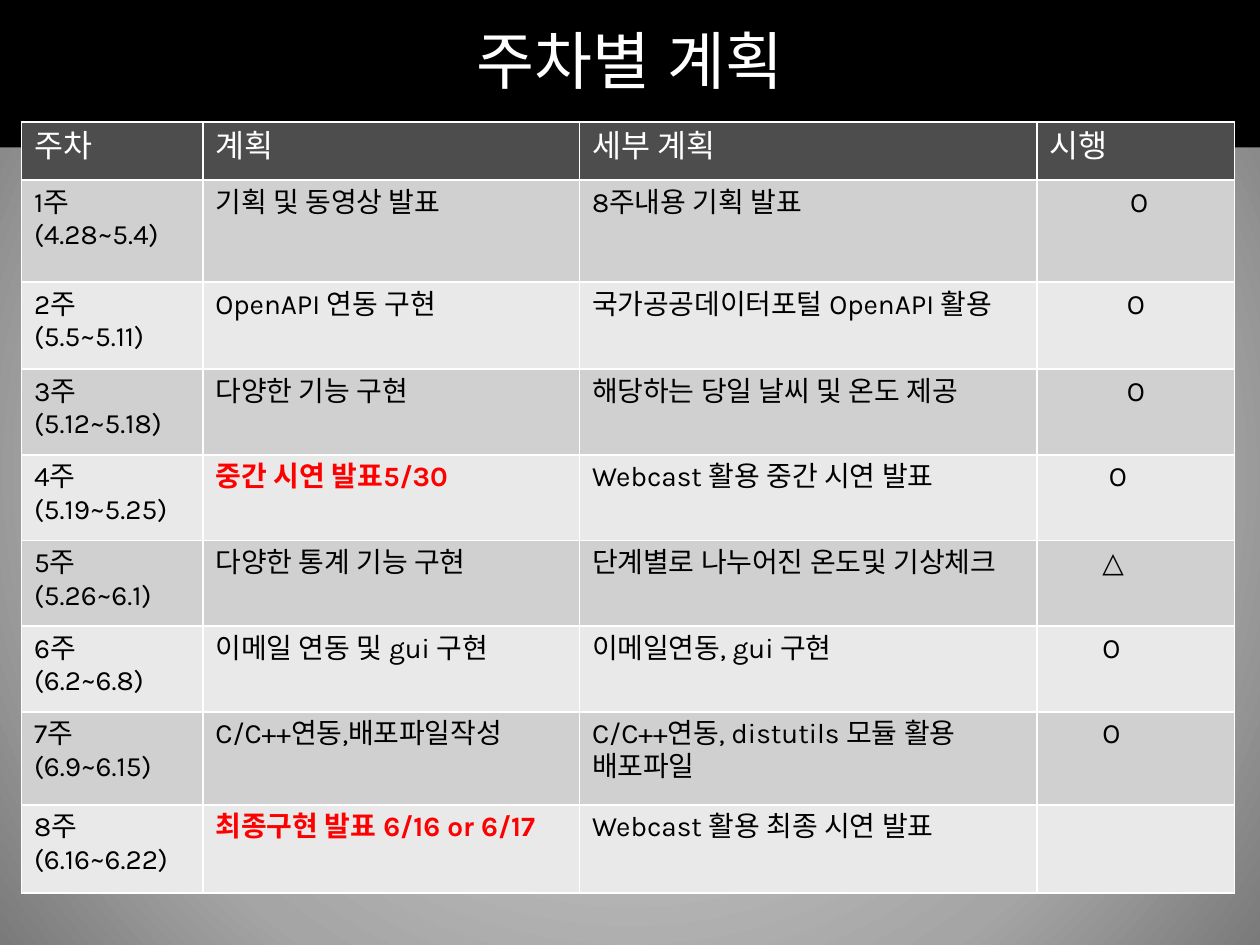
from dataclasses import dataclass

import pptx
import pptx.dml.color
import pptx.enum.lang
import pptx.enum.shapes
import pptx.enum.text
import pptx.oxml
import pptx.oxml.ns
import pptx.util

RGB = pptx.dml.color.RGBColor
BLACK = RGB(0x00, 0x00, 0x00)
WHITE = RGB(0xFF, 0xFF, 0xFF)
RED = RGB(0xFF, 0x00, 0x00)
HEADER = RGB(0x4D, 0x4D, 0x4D)
BANDS = RGB(0xD0, 0xD0, 0xD0), RGB(0xE9, 0xE9, 0xE9)
BACKDROP = (0, RGB(0xE1, 0xE1, 0xE1)), (72, RGB(0xA5, 0xA5, 0xA5)), (100, RGB(0x7A, 0x7A, 0x7A))

WIDTH, HEIGHT = 10, 7.5
COLS = 1.44, 2.99, 3.63, 1.57
ROWS = 0.46, 0.81, 0.69, 0.68, 0.68, 0.68, 0.68, 0.74, 0.7
ALIGN = pptx.enum.text.PP_ALIGN
KOREAN = pptx.enum.lang.MSO_LANGUAGE_ID.KOREAN
NSDECL = pptx.oxml.ns.nsdecls("a")


@dataclass
class Week:
    label: str
    plan: str
    detail: str
    mark: str = ""
    indent: float | None = None  # inches; a mark without indent is centred
    milestone: bool = False


TITLES = "주차", "계획", "세부 계획", "시행"
WEEKS = [
    Week("1주 (4.28~5.4)", "기획 및 동영상 발표", "8주내용 기획 발표", " O"),
    Week("2주\n(5.5~5.11)", "OpenAPI 연동 구현", "국가공공데이터포털 OpenAPI 활용", "O"),
    Week("3주\n(5.12~5.18)", "다양한 기능 구현", "해당하는 당일 날씨 및 온도 제공", "O"),
    Week("4주\n(5.19~5.25)", "중간 시연 발표5/30", "Webcast 활용 중간 시연 발표", "O", 0.47, True),
    Week("5주\n(5.26~6.1)", "다양한 통계 기능 구현", "단계별로 나누어진 온도및 기상체크", "△", 0.42),
    Week("6주\n(6.2~6.8)", "이메일 연동 및 gui 구현", "이메일연동, gui 구현", "O", 0.42),
    Week("7주\n(6.9~6.15)", "C/C++연동,배포파일작성", "C/C++연동, distutils 모듈 활용 배포파일", "O", 0.42),
    Week("8주\n(6.16~6.22)", "최종구현 발표 6/16 or 6/17", "Webcast 활용 최종 시연 발표", milestone=True),
]


def set_backdrop(s) -> None:
    """Fill the background with a gradient that radiates from the centre."""
    s.background.fill.solid()
    stops = "".join(f'<a:gs pos="{pos * 1000}"><a:srgbClr val="{color}"/></a:gs>'
                    for pos, color in BACKDROP)
    grad = pptx.oxml.parse_xml(
        f'<a:gradFill {NSDECL} rotWithShape="1"><a:gsLst>{stops}</a:gsLst><a:path path="circle">'
        '<a:fillToRect l="50000" t="50000" r="50000" b="50000"/></a:path></a:gradFill>')
    solid = s.background._cSld.find(".//" + pptx.oxml.ns.qn("a:solidFill"))
    solid.getparent().replace(solid, grad)


def write(tf, text: str, size: float, color: RGB, name: str = "Karla",
          bold: bool = False, align=None) -> None:
    """Set the text, with the same font for Latin and Korean letters."""
    tf.text = text
    font = {"size": pptx.util.Pt(size), "name": name, "bold": bold, "language_id": KOREAN}
    for p in tf.paragraphs:
        p.alignment = align
        for r in p.runs:
            r.font.color.rgb = color
            for key, value in font.items():
                setattr(r.font, key, value)
            r._r.get_or_add_rPr().append(
                pptx.oxml.parse_xml(f'<a:ea {NSDECL} typeface="{name}"/>'))


def style_cell(cell, fill: RGB) -> None:
    """Draw white borders, then the fill, in the order the schema asks for."""
    props = cell._tc.get_or_add_tcPr()
    for side in "LRTB":
        props.append(pptx.oxml.parse_xml(
            f'<a:ln{side} {NSDECL} w="{pptx.util.Pt(1)}"><a:solidFill>'
            f'<a:srgbClr val="{WHITE}"/></a:solidFill></a:ln{side}>'))
    cell.fill.solid()
    cell.fill.fore_color.rgb = fill


def add_title(s, text: str) -> None:
    inch = pptx.util.Inches
    bar = s.shapes.add_shape(pptx.enum.shapes.MSO_SHAPE.RECTANGLE, 0, 0, inch(WIDTH), inch(1.17))
    bar.shadow.inherit = False
    bar.fill.solid()
    bar.fill.fore_color.rgb = BLACK
    bar.line.fill.background()
    margin = WIDTH * 0.05
    sp = s.shapes.add_textbox(inch(margin), inch(0.19), inch(WIDTH - 2 * margin), inch(0.56))
    sp.text_frame.word_wrap = True
    sp.text_frame.vertical_anchor = pptx.enum.text.MSO_ANCHOR.MIDDLE
    write(sp.text_frame, text, 36, WHITE, "Arial", align=ALIGN.CENTER)


def add_schedule(s) -> None:
    inch = pptx.util.Inches
    table = s.shapes.add_table(len(ROWS), len(COLS), inch(0.17), inch(0.97),
                               inch(sum(COLS)), inch(sum(ROWS))).table
    table.first_row = table.horz_banding = False
    for column, width in zip(table.columns, COLS):
        column.width = inch(width)
    for row, height in zip(table.rows, ROWS):
        row.height = inch(height)

    for c, title in enumerate(TITLES):
        cell = table.cell(0, c)
        style_cell(cell, HEADER)
        write(cell.text_frame, title, 18, WHITE)

    for i, week in enumerate(WEEKS):
        cells = list(table.rows[i + 1].cells)
        for cell, text in zip(cells, (week.label, week.plan, week.detail, week.mark)):
            style_cell(cell, BANDS[i % 2])
            write(cell.text_frame, text, 16, BLACK)
        if week.milestone:
            write(cells[1].text_frame, week.plan, 16, RED, bold=True)
        p = cells[3].text_frame.paragraphs[0]
        if week.indent is None:
            p.alignment = ALIGN.CENTER
        else:
            p._p.get_or_add_pPr().set("marL", str(inch(week.indent)))


def main() -> None:
    prs = pptx.Presentation()
    prs.slide_width, prs.slide_height = pptx.util.Inches(WIDTH), pptx.util.Inches(HEIGHT)
    s = prs.slides.add_slide(prs.slide_layouts[6])
    set_backdrop(s)
    add_title(s, "주차별 계획")
    add_schedule(s)
    prs.save("out.pptx")


if __name__ == "__main__":
    main()
